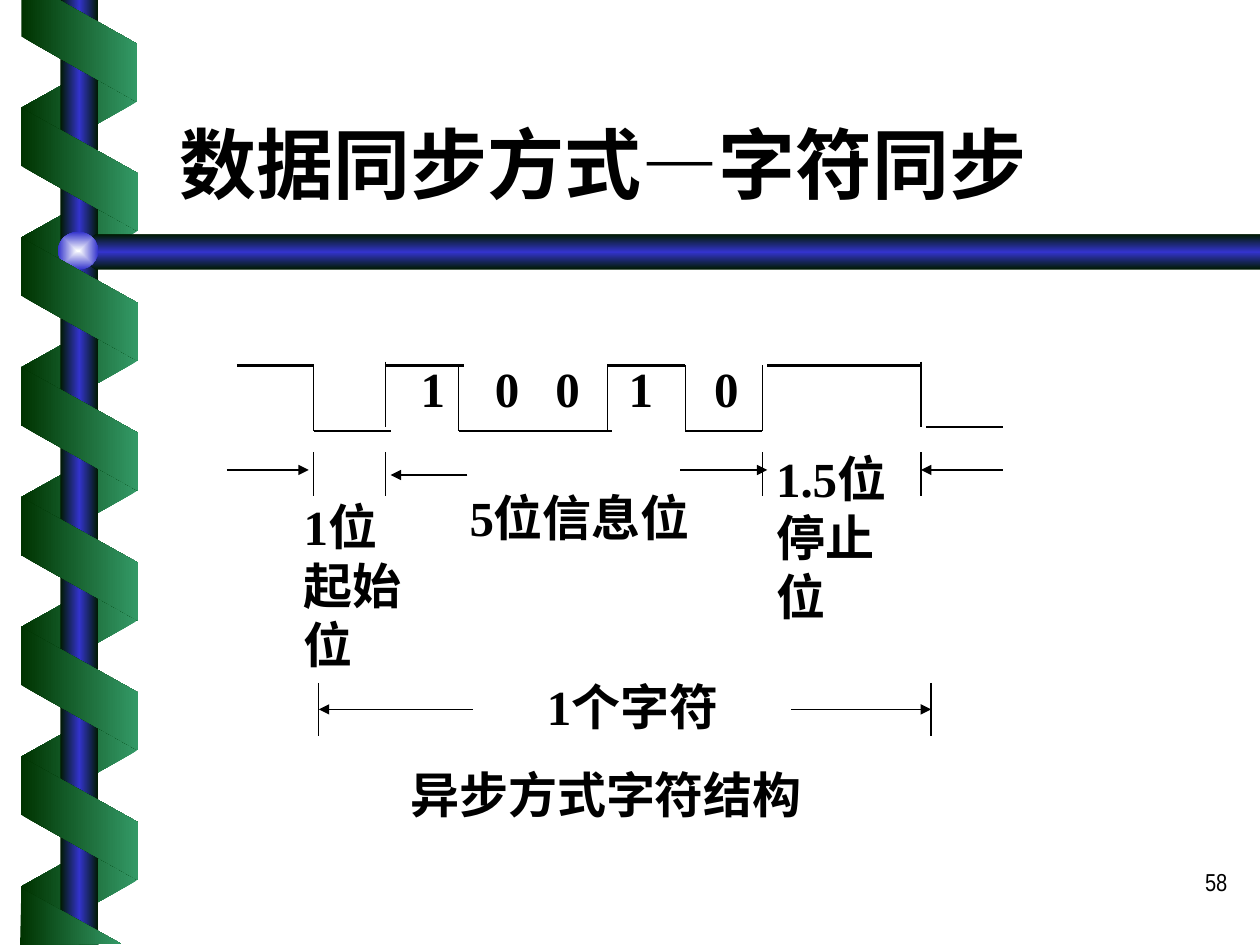
from lxml import etree
from pptx import Presentation
from pptx.dml.color import RGBColor
from pptx.enum.shapes import MSO_CONNECTOR, MSO_SHAPE
from pptx.enum.text import MSO_ANCHOR, PP_ALIGN
from pptx.oxml import parse_xml
from pptx.oxml.ns import nsdecls, qn
from pptx.util import Inches, Pt

LEFT, CENTER, RIGHT, JUSTIFY = PP_ALIGN.LEFT, PP_ALIGN.CENTER, PP_ALIGN.RIGHT, PP_ALIGN.JUSTIFY
TOP, BOTTOM = MSO_ANCHOR.TOP, MSO_ANCHOR.BOTTOM
STRAIGHT = MSO_CONNECTOR.STRAIGHT
RECT, OVAL, PARALLELOGRAM = MSO_SHAPE.RECTANGLE, MSO_SHAPE.OVAL, MSO_SHAPE.PARALLELOGRAM

COLORS = {"ink": "000000", "green": "339966", "dark_green": "003300",
          "blue": "3333CC", "night": "001A00", "glow": "FEFFFF"}
RIBBON_FRONT = ("dark_green", "green")
RIBBON_BACK = ("green", "dark_green")
TUBE = ("night", "blue", "night")
SERIF = "Times New Roman"

HIGH, LOW = 2.9, 3.42
LEVELS = [(1.88, 2.49, HIGH), (2.49, 3.1, LOW), (3.06, 3.68, HIGH), (3.64, 4.25, LOW),
          (4.25, 4.86, LOW), (4.82, 5.44, HIGH), (5.44, 6.05, LOW), (6.09, 6.7, HIGH),
          (6.7, 7.31, HIGH), (7.35, 7.96, 3.39)]
EDGES = [(2.49, HIGH), (3.06, 2.87), (3.64, HIGH), (4.82, HIGH),
         (5.44, HIGH), (6.05, HIGH), (7.31, 2.87)]
FIELD_LIMITS = [2.49, 3.06, 6.05, 7.31]
CHARACTER_LIMITS = [2.53, 7.39]
ARROWS = [(1.8, 2.45, 3.73), (3.71, 3.1, 3.77), (5.4, 6.09, 3.73), (7.96, 7.31, 3.73),
          (6.28, 7.39, 5.63), (3.75, 2.53, 5.63)]
BIT_STOPS = [0.29, 0.88, 1.36, 1.94, 2.62]


def style_gradient(sp, names, angle=0, radial=False):
    sp.shadow.inherit = False
    sp.line.fill.background()
    sp.fill.background()
    last = len(names) - 1
    stops = "".join(
        f'<a:gs pos="{100000 * i // last}"><a:srgbClr val="{COLORS[n]}"/></a:gs>'
        for i, n in enumerate(names))
    if radial:
        direction = ('<a:path path="rect"><a:fillToRect l="50000" t="50000" '
                     'r="50000" b="50000"/></a:path>')
    else:
        direction = f'<a:lin ang="{angle * 60000}" scaled="0"/>'
    grad = parse_xml(f'<a:gradFill {nsdecls("a")} rotWithShape="0">'
                     f'<a:gsLst>{stops}</a:gsLst>{direction}</a:gradFill>')
    props = sp._element.spPr
    props.replace(props.find(qn("a:noFill")), grad)


def add_gradient_shape(s, kind, box, names, radial=False):
    sp = s.shapes.add_shape(kind, *map(Inches, box))
    style_gradient(sp, names, radial=radial)
    return sp


def add_ribbon(s, top, height, names, rotation, flip=False):
    sp = add_gradient_shape(s, PARALLELOGRAM, (0.14, top, 0.98, height), names)
    sp.adjustments[0] = 0.56
    sp.rotation = rotation
    if flip:
        sp._element.spPr.find(qn("a:xfrm")).set("flipH", "1")


def add_outline(s, points, names, angle=0):
    start, *rest = [(Inches(x), Inches(y)) for x, y in points]
    builder = s.shapes.build_freeform(*start)
    builder.add_line_segments(rest, close=True)
    style_gradient(builder.convert_to_shape(), names, angle)


def add_line(s, x1, y1, x2, y2, width=0.75, arrow=False):
    c = s.shapes.add_connector(STRAIGHT, *map(Inches, (x1, y1, x2, y2)))
    c.line.color.rgb = RGBColor.from_string(COLORS["ink"])
    c.line.width = Pt(width)
    if arrow:
        etree.SubElement(c.line._get_or_add_ln(), qn("a:tailEnd"), type="triangle")
    etree.SubElement(c._element.spPr, qn("a:effectLst"))


def add_text(s, box, lines, align, size=28, font=SERIF, bold=True, anchor=TOP,
             inset=True, tabs=()):
    tf = s.shapes.add_textbox(*map(Inches, box)).text_frame
    tf.word_wrap = True
    tf.vertical_anchor = anchor
    if not inset:
        tf.margin_left = tf.margin_right = tf.margin_top = tf.margin_bottom = 0
    for i, line in enumerate(lines):
        p = tf.add_paragraph() if i else tf.paragraphs[0]
        p.alignment = align
        if tabs:
            tab_list = etree.SubElement(p._p.get_or_add_pPr(), qn("a:tabLst"))
            for stop in tabs:
                etree.SubElement(tab_list, qn("a:tab"), pos=str(Inches(stop)), algn="l")
        r = p.add_run()
        r.text = line
        r.font.name = font
        r.font.size = Pt(size)
        r.font.bold = bold
        r.font.color.rgb = RGBColor.from_string(COLORS["ink"])


def add_helix(s):
    for i in range(7):
        add_ribbon(s, 0.37 + 1.03 * i, 0.92, RIBBON_BACK, 90, flip=True)
    add_gradient_shape(s, RECT, (0.48, 0, 0.3, 7.5), TUBE)
    add_outline(s, [(10, 1.86), (0.76, 1.86), (0.6, 2), (0.76, 2.14), (10, 2.14)], TUBE, 90)
    add_gradient_shape(s, OVAL, (0.46, 1.84, 0.32, 0.3), ("glow", "blue"), radial=True)
    for i in range(6):
        add_ribbon(s, 0.88 + 1.03 * i, 0.93, RIBBON_FRONT, 270)
    add_outline(s, [(0.17, 0), (0.17, 0.29), (1.09, 0.81), (1.09, 0.35), (0.47, 0)],
                RIBBON_FRONT)
    add_outline(s, [(0.96, 7.49), (0.17, 7.05), (0.16, 7.5)], RIBBON_FRONT)


def add_waveform(s):
    for x1, x2, y in LEVELS:
        add_line(s, x1, y, x2, y, width=1.5)
    for x, top in EDGES:
        add_line(s, x, top, x, top + 0.52)
    for x in FIELD_LIMITS:
        add_line(s, x, 3.59, x, 3.94)
    for x in CHARACTER_LIMITS:
        add_line(s, x, 5.42, x, 5.84)
    for x1, x2, y in ARROWS:
        add_line(s, x1, y, x2, y, arrow=True)


def add_labels(s):
    bits = "".join("\t" + bit for bit in "10010")
    add_text(s, (2.95, 2.8, 4.75, 0.66), [bits], LEFT, tabs=BIT_STOPS)
    add_text(s, (2.41, 3.94, 1.03, 1.69), ["1位", "起始", "位"], JUSTIFY, inset=False)
    add_text(s, (3.26, 3.87, 2.68, 0.66), ["5位信息位"], CENTER, inset=False)
    add_text(s, (6.16, 3.56, 1.03, 1.7), ["1.5位", "停止", "位"], JUSTIFY, inset=False)
    add_text(s, (3.68, 5.37, 2.68, 0.66), ["1个字符"], CENTER, inset=False)
    add_text(s, (1.54, 6.02, 6.54, 0.73), ["异步方式字符结构"], CENTER)


def main():
    prs = Presentation()
    prs.slide_width, prs.slide_height = Inches(10), Inches(7.5)
    s = prs.slides.add_slide(prs.slide_layouts[6])
    add_helix(s)
    add_text(s, (7.76, 6.83, 2.08, 0.5), ["58"], RIGHT, size=14, font="Arial Narrow", bold=False)
    add_text(s, (1.33, 0.46, 8.5, 1.25), ["数据同步方式—字符同步"], LEFT, size=44, anchor=BOTTOM)
    add_waveform(s)
    add_labels(s)
    prs.save("out.pptx")


if __name__ == "__main__":
    main()
